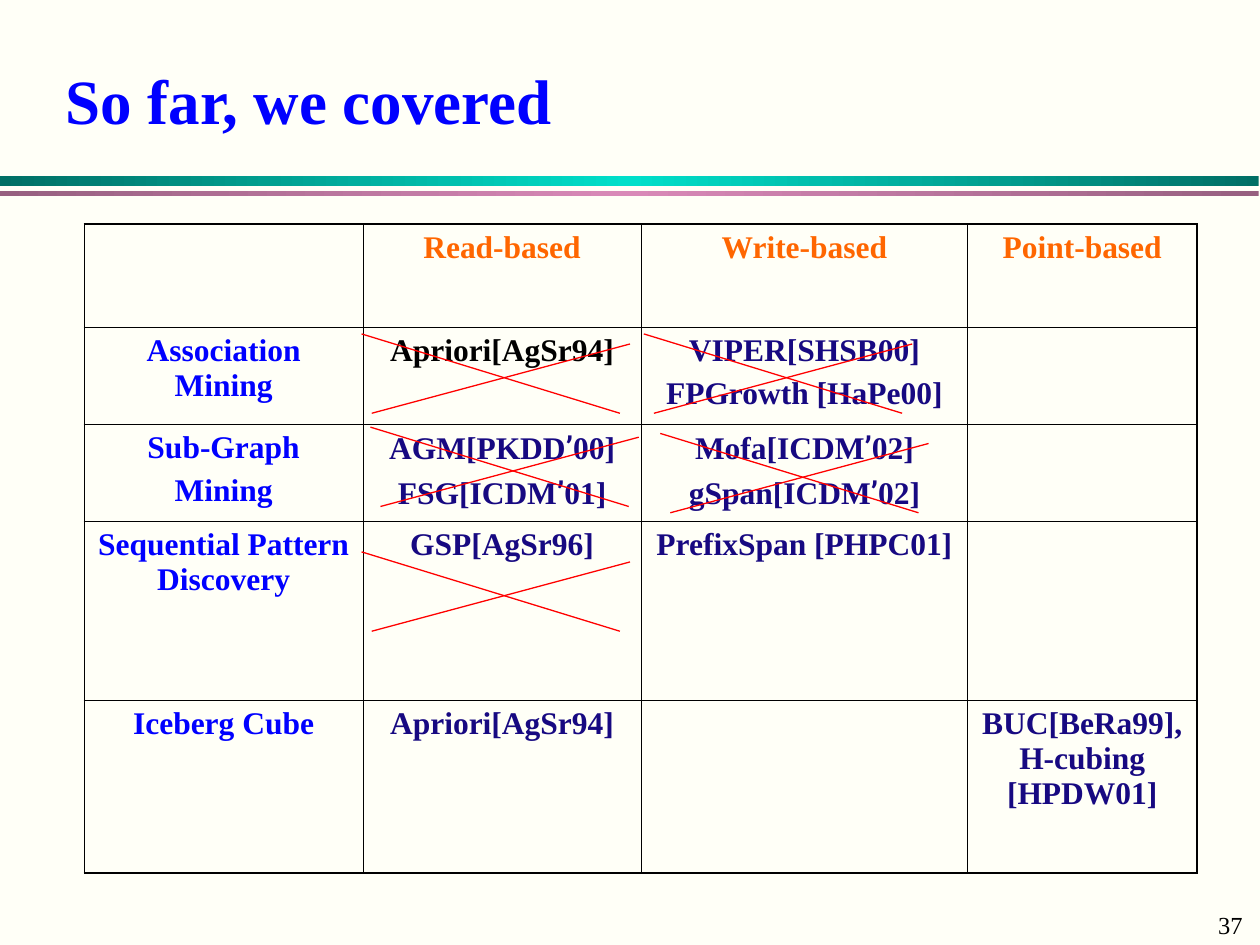
import copy
from typing import Any, NamedTuple

import lxml.etree
import pptx
import pptx.dml.color
import pptx.enum.shapes
import pptx.enum.text
import pptx.oxml.ns
import pptx.util

Inches = pptx.util.Inches
Pt = pptx.util.Pt
qn = pptx.oxml.ns.qn

FACE = "Times New Roman"
QUOTE = "’"
HUES = {
    "page": "FFFFF7", "black": "000000", "blue": "0000FF", "navy": "170981",
    "orange": "FF6600", "red": "FF0000", "teal": "006F65", "aqua": "00DFCA",
    "plum": "976080", "pink": "D989B8",
}
HEAD = {"size": Pt(36), "bold": True, "name": FACE}
BODY = {"size": Pt(18), "bold": True, "name": FACE}
FOOT = {"size": Pt(14), "bold": False, "name": FACE}


class Band(NamedTuple):
    top: float
    high: float
    edge: str
    mid: str


class Note(NamedTuple):
    text: str
    left: float
    top: float
    wide: float
    high: float
    style: dict
    hue: str
    wrap: bool
    anchor: Any


class Cross(NamedTuple):
    left: float
    top: float


BANDS = [Band(1.4, 0.08, "teal", "aqua"), Band(1.52, 0.04, "plum", "pink")]
ANCHOR = pptx.enum.text.MSO_ANCHOR
NOTES = [
    Note("37", 9.57, 7.17, 0.43, 0.34, FOOT, "black", False, ANCHOR.TOP),
    Note("So far, we covered", 0.42, 0.42, 9.17, 0.73, HEAD, "blue", True,
         ANCHOR.MIDDLE),
]
COLS = [2.21, 2.21, 2.59, 1.82]
ROWS = [0.82, 0.77, 0.77, 1.42, 1.37]
GRID = [
    ["", "Read-based", "Write-based", "Point-based"],
    ["Association Mining", "Apriori[AgSr94]",
     "VIPER[SHSB00]\nFPGrowth [HaPe00]", ""],
    ["Sub-Graph\nMining", "AGM[PKDD’00]\nFSG[ICDM’01]",
     "Mofa[ICDM’02]\ngSpan[ICDM’02]", ""],
    ["Sequential Pattern Discovery", "GSP[AgSr96]", "PrefixSpan [PHPC01]", ""],
    ["Iceberg Cube", "Apriori[AgSr94]", "", "BUC[BeRa99], H-cubing [HPDW01]"],
]
CROSSES = [Cross(2.87, 2.65), Cross(2.94, 3.39), Cross(5.11, 2.65),
           Cross(5.24, 3.44), Cross(2.87, 4.38)]


def tint(hue: str) -> pptx.dml.color.RGBColor:
    return pptx.dml.color.RGBColor.from_string(HUES[hue])


def style(font: Any, form: dict, hue: str) -> None:
    for key, val in form.items():
        setattr(font, key, val)
    font.color.rgb = tint(hue)


def draw_band(slide: Any, band: Band) -> None:
    shape = slide.shapes.add_shape(
        pptx.enum.shapes.MSO_SHAPE.RECTANGLE, 0, Inches(band.top),
        Inches(9.99), Inches(band.high))
    shape.shadow.inherit = False
    shape.line.fill.background()
    shape.fill.gradient()
    shape.fill.gradient_angle = 0
    stops = shape._element.spPr.find(".//" + qn("a:gsLst"))
    stops.append(copy.deepcopy(stops[0]))
    hues = (band.edge, band.mid, band.edge)
    for stop, place, hue in zip(shape.fill.gradient_stops, (0, 0.5, 1), hues):
        stop.position = place
        stop.color.rgb = tint(hue)


def draw_note(slide: Any, note: Note) -> None:
    box = slide.shapes.add_textbox(
        Inches(note.left), Inches(note.top), Inches(note.wide),
        Inches(note.high))
    frame = box.text_frame
    frame.word_wrap = note.wrap
    frame.vertical_anchor = note.anchor
    run = frame.paragraphs[0].add_run()
    run.text = note.text
    style(run.font, note.style, note.hue)


def pick_hue(row: int, col: int) -> str:
    if row == 0:
        return "orange"
    if col == 0:
        return "blue"
    return "black" if (row, col) == (1, 1) else "navy"


def fill_cell(cell: Any, text: str, hue: str) -> None:
    cell.fill.background()
    frame = cell.text_frame
    for num, line in enumerate(text.split("\n")):
        para = frame.add_paragraph() if num else frame.paragraphs[0]
        para.alignment = pptx.enum.text.PP_ALIGN.CENTER
        para.space_before = Pt(4.5 if num else 0)
        # The apostrophe has its own font
        for part in filter(None, line.partition(QUOTE)):
            run = para.add_run()
            run.text = part
            style(run.font, BODY, hue)
            if part == QUOTE:
                run.font.name = "Roboto"


def rule_cell(cell: Any, row: int, col: int) -> None:
    outer = {"L": col == 0, "R": col == len(COLS) - 1,
             "T": row == 0, "B": row == len(ROWS) - 1}
    props = cell._tc.get_or_add_tcPr()
    for num, (side, thick) in enumerate(outer.items()):
        line = lxml.etree.Element(qn("a:ln" + side))
        line.set("w", str(int(Pt(1.08 if thick else 0.45))))
        solid = lxml.etree.SubElement(line, qn("a:solidFill"))
        lxml.etree.SubElement(solid, qn("a:srgbClr"), val=HUES["black"])
        props.insert(num, line)


def draw_table(slide: Any) -> None:
    table = slide.shapes.add_table(
        len(ROWS), len(COLS), Inches(0.67), Inches(1.78),
        Inches(sum(COLS)), Inches(sum(ROWS))).table
    table.first_row = table.horz_banding = False
    for col, wide in zip(table.columns, COLS):
        col.width = Inches(wide)
    for row, high in zip(table.rows, ROWS):
        row.height = Inches(high)
    for row, texts in enumerate(GRID):
        for col, text in enumerate(texts):
            cell = table.cell(row, col)
            fill_cell(cell, text, pick_hue(row, col))
            rule_cell(cell, row, col)


def draw_cross(slide: Any, cross: Cross) -> None:
    # Each stroke: start and end, measured from the corner of the cross
    for x1, y1, x2, y2 in ((0.08, 0.63, 2.13, 0.08), (2.05, 0.63, 0, 0)):
        line = slide.shapes.add_connector(
            pptx.enum.shapes.MSO_CONNECTOR.STRAIGHT,
            Inches(cross.left + x1), Inches(cross.top + y1),
            Inches(cross.left + x2), Inches(cross.top + y2))
        line.line.color.rgb = tint("red")
        line.line.width = Pt(0.75)
        lxml.etree.SubElement(line._element.spPr, qn("a:effectLst"))


def main() -> None:
    deck = pptx.Presentation()
    deck.slide_width, deck.slide_height = Inches(10), Inches(7.5)
    slide = deck.slides.add_slide(deck.slide_layouts[6])
    slide.background.fill.solid()
    slide.background.fill.fore_color.rgb = tint("page")
    # Bands, page number and title
    for band in BANDS:
        draw_band(slide, band)
    for note in NOTES:
        draw_note(slide, note)
    # Methods, with those already covered crossed out
    draw_table(slide)
    for cross in CROSSES:
        draw_cross(slide, cross)
    deck.save("out.pptx")


if __name__ == "__main__":
    main()
